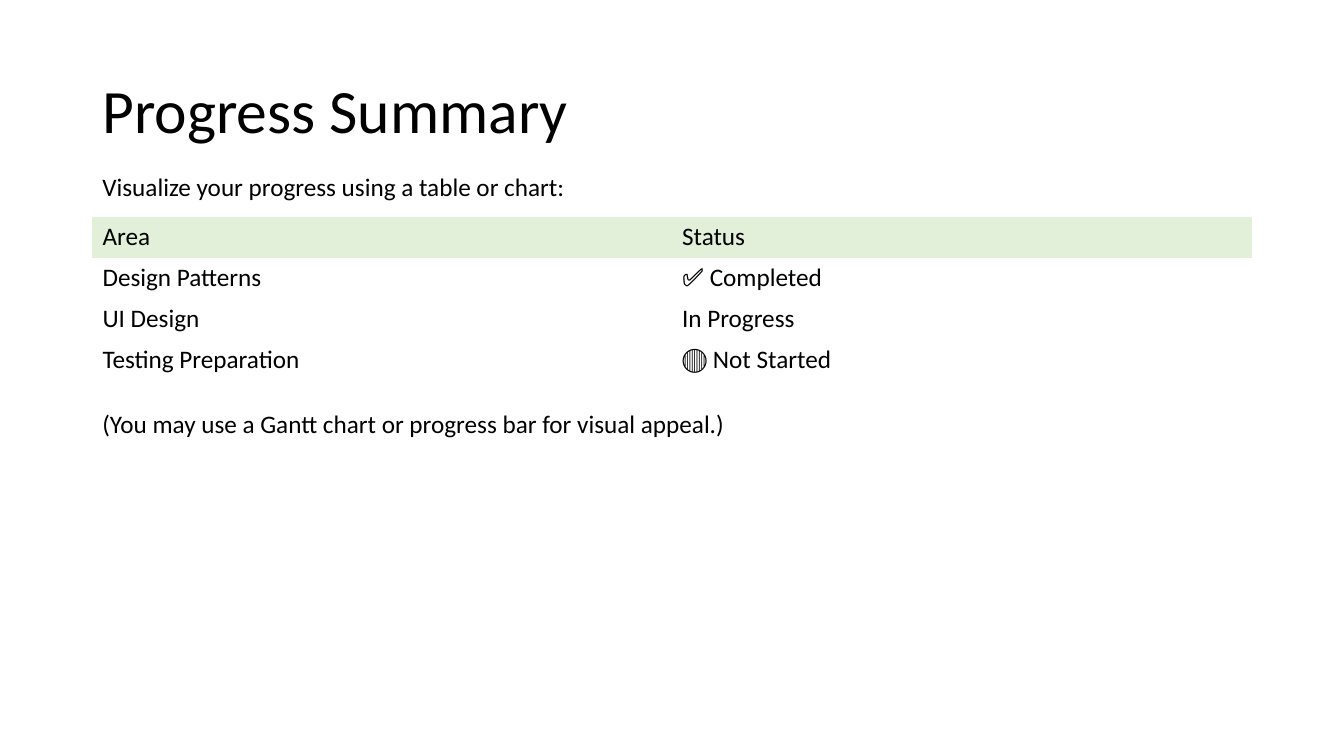
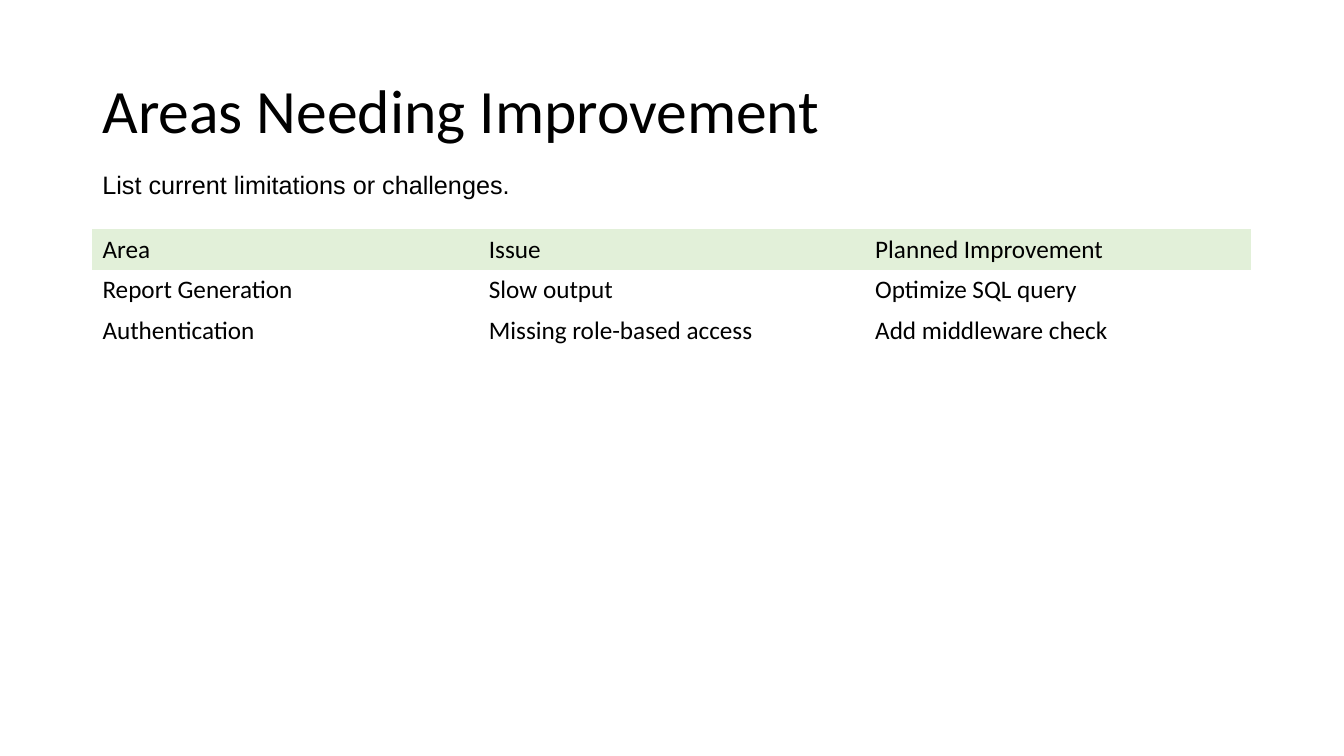
from dataclasses import dataclass

from pptx import Presentation
from pptx.dml.color import RGBColor
from pptx.enum.text import MSO_ANCHOR, PP_ALIGN
from pptx.oxml.ns import qn
from pptx.util import Cm, Pt

LEFT_ALIGN = PP_ALIGN.LEFT
MIDDLE = MSO_ANCHOR.MIDDLE
TITLE_ONLY = 5
NO_STYLE_NO_GRID = "{2D5ABB26-0587-4C30-8999-92F81FD0307C}"


@dataclass(frozen=True)
class Theme:
    ink: RGBColor = RGBColor(0x00, 0x00, 0x00)
    header: RGBColor = RGBColor(0xE2, 0xF0, 0xD9)
    font: str = "Calibri"
    alt_font: str = "Arial"
    title_size: Pt = Pt(44)
    body_size: Pt = Pt(18)
    left: Cm = Cm(2.33)
    width: Cm = Cm(29.21)
    row_height: Cm = Cm(1.03)


class Deck:
    """Builds slides that share one theme."""

    def __init__(self, theme):
        self.theme = theme
        self.prs = Presentation()
        self.prs.slide_width, self.prs.slide_height = Cm(33.87), Cm(19.05)
        self.s = None

    def style(self, p, size, font=None):
        p.alignment = LEFT_ALIGN
        p.font.name = font or self.theme.font
        p.font.size = size
        p.font.color.rgb = self.theme.ink

    def slide(self, title):
        self.s = self.prs.slides.add_slide(self.prs.slide_layouts[TITLE_ONLY])
        sp = self.s.shapes.title
        sp.left, sp.top = self.theme.left, Cm(1.02)
        sp.width, sp.height = self.theme.width, Cm(3.68)
        tf = sp.text_frame
        tf.text = title
        tf.vertical_anchor = MIDDLE
        p = tf.paragraphs[0]
        p.line_spacing = 0.9
        self.style(p, self.theme.title_size)

    def text(self, text, top, font=None):
        sp = self.s.shapes.add_textbox(self.theme.left, top, Cm(16.94), Cm(1.02))
        tf = sp.text_frame
        tf.word_wrap = True
        tf.text = text
        self.style(tf.paragraphs[0], self.theme.body_size, font)

    def table(self, rows, top):
        t = self.theme
        height = t.row_height * len(rows)
        tbl = self.s.shapes.add_table(
            len(rows), len(rows[0]), t.left, top, t.width, height).table
        tbl.horz_banding = tbl.first_row = False
        next(tbl._tbl.iter(qn("a:tableStyleId"))).text = NO_STYLE_NO_GRID
        for i, row in enumerate(rows):
            for j, text in enumerate(row):
                cell = tbl.cell(i, j)
                cell.text = text
                cell.vertical_anchor = MIDDLE
                self.style(cell.text_frame.paragraphs[0], t.body_size)
                if i == 0:
                    cell.fill.solid()
                    cell.fill.fore_color.rgb = t.header
                else:
                    cell.fill.background()


def main():
    deck = Deck(Theme())

    deck.slide("Progress Summary")
    deck.table([
        ("Area", "Status"),
        ("Design Patterns", "✅ Completed"),
        ("UI Design", "In Progress"),
        ("Testing Preparation", "🔴 Not Started"),
    ], Cm(5.46))
    deck.text("Visualize your progress using a table or chart:", Cm(4.19))
    deck.text("(You may use a Gantt chart or progress bar for visual appeal.)", Cm(10.16))

    deck.slide("Areas Needing Improvement")
    deck.table([
        ("Area", "Issue", "Planned Improvement"),
        ("Report Generation", "Slow output", "Optimize SQL query"),
        ("Authentication", "Missing role-based access", "Add middleware check"),
    ], Cm(5.77))
    deck.text("List current limitations or challenges.", Cm(4.14), deck.theme.alt_font)

    deck.prs.save("out.pptx")


if __name__ == "__main__":
    main()
